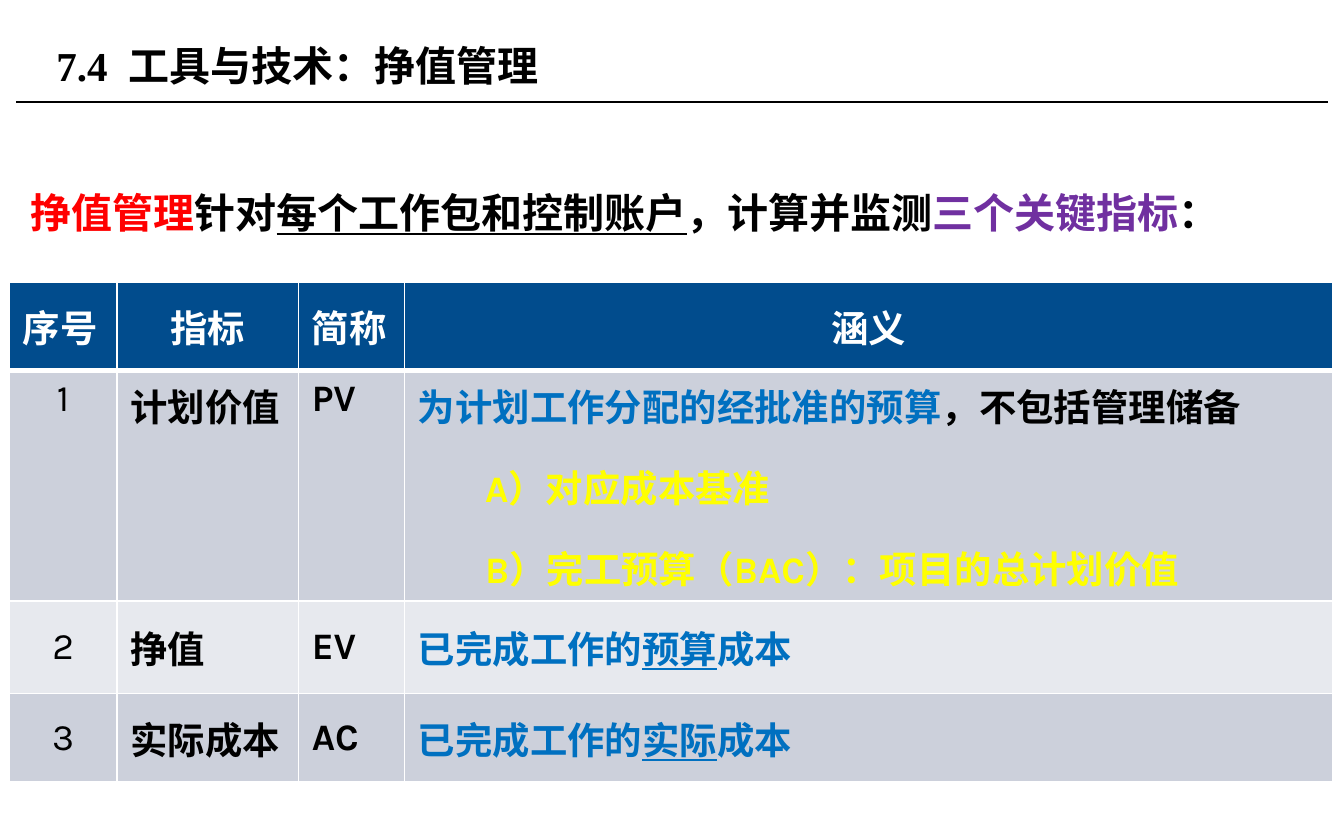
from lxml import etree
from pptx import Presentation
from pptx.dml.color import RGBColor
from pptx.enum.shapes import MSO_CONNECTOR
from pptx.enum.text import MSO_ANCHOR, PP_ALIGN
from pptx.oxml.ns import qn
from pptx.util import Inches, Pt

STRAIGHT = MSO_CONNECTOR.STRAIGHT
TOP, MIDDLE = MSO_ANCHOR.TOP, MSO_ANCHOR.MIDDLE
LEFT, CENTER = PP_ALIGN.LEFT, PP_ALIGN.CENTER
BLACK, WHITE, RED, PURPLE = "000000", "FFFFFF", "FF0000", "7030A0"
BLUE, YELLOW, NAVY = "0070C0", "FFFF00", "014C8D"
BANDS = ("CCD0DB", "E7E9EE")
SERIF, SANS = "Times New Roman", "Karla"

# Content: a run is (text, colour, underlined)
TITLE = "7.4  工具与技术：挣值管理"
INTRO = [
    ("挣值管理", RED, False), ("针对", BLACK, False),
    ("每个工作包和控制账户", BLACK, True), ("，计算并监测", BLACK, False),
    ("三个关键指标", PURPLE, False), ("：", BLACK, False),
]
HEADERS = [("序号", LEFT), ("指标", CENTER), ("简称", LEFT), ("涵义", CENTER)]


def cost_meaning(basis):
    return [("已完成工作的", BLUE, False), (basis, BLUE, True), ("成本", BLUE, False)]


# Indicator, short name, meaning, sub-points, anchor
INDICATORS = [
    ("计划价值", "PV",
     [("为计划工作分配的经批准的预算", BLUE, False), ("，不包括管理储备", BLACK, False)],
     ["A）对应成本基准", "B）完工预算（BAC）：项目的总计划价值"], TOP),
    ("挣值", "EV", cost_meaning("预算"), [], MIDDLE),
    ("实际成本", "AC", cost_meaning("实际"), [], MIDDLE),
]
COLUMN_WIDTHS = [0.8, 1.35, 0.79, 6.91]
ROW_HEIGHTS = [0.66, 1.71, 0.69, 0.66]


def rgb(value):
    return RGBColor.from_string(value)


def write(paragraph, runs, size, font, bold=True, align=LEFT, indent=None):
    paragraph.alignment = align
    if indent is not None:
        properties = paragraph._p.get_or_add_pPr()
        properties.set("marL", str(Inches(indent)))
        properties.set("indent", "0")
        paragraph.line_spacing = 1.5
    for text, color, underlined in runs:
        run = paragraph.add_run()
        run.text = text
        run.font.size = Pt(size)
        run.font.name = font
        run.font.bold = bold
        run.font.underline = underlined
        run.font.color.rgb = rgb(color)


def set_borders(cell, widths):
    """Draw white borders; widths maps the sides L, R, T, B to points."""
    properties = cell._tc.get_or_add_tcPr()
    for position, side in enumerate("LRTB"):
        line = etree.Element(qn(f"a:ln{side}"), w=str(Pt(widths.get(side, 1))))
        fill = etree.SubElement(line, qn("a:solidFill"))
        etree.SubElement(fill, qn("a:srgbClr"), val=WHITE)
        properties.insert(position, line)


def fill_cell(cell, fill, anchor, runs, bold=True, align=LEFT, borders=None):
    cell.fill.solid()
    cell.fill.fore_color.rgb = rgb(fill)
    cell.vertical_anchor = anchor
    set_borders(cell, borders or {})
    write(cell.text_frame.paragraphs[0], runs, 20, SANS, bold, align)


prs = Presentation()
prs.slide_width, prs.slide_height = Inches(10), Inches(6.25)
slide = prs.slides.add_slide(prs.slide_layouts[5])

# Title and the rule below it
title = slide.shapes.title
title.left, title.top = Inches(0.32), Inches(0.13)
title.width, title.height = Inches(6.38), Inches(0.71)
title.text_frame.vertical_anchor = MIDDLE
write(title.text_frame.paragraphs[0], [(TITLE, BLACK, False)], 22, SERIF)

rule = slide.shapes.add_connector(
    STRAIGHT, Inches(0.12), Inches(0.76), Inches(9.88), Inches(0.76))
rule.line.color.rgb = rgb(BLACK)
rule.line.width = Pt(0.75)
etree.SubElement(rule._element.spPr, qn("a:effectLst"))

# Introduction
intro = slide.shapes.add_textbox(Inches(0.03), Inches(1.16), Inches(9.62), Inches(3.9))
intro.text_frame.word_wrap = True
intro_line = intro.text_frame.paragraphs[0]
write(intro_line, INTRO, 22, SERIF, indent=0.1)
intro_line.space_after = Pt(18)

# Indicator table
table = slide.shapes.add_table(
    len(ROW_HEIGHTS), len(COLUMN_WIDTHS), Inches(0.07), Inches(2.1),
    Inches(sum(COLUMN_WIDTHS)), Inches(sum(ROW_HEIGHTS))).table
for column, width in zip(table.columns, COLUMN_WIDTHS):
    column.width = Inches(width)
for row, height in zip(table.rows, ROW_HEIGHTS):
    row.height = Inches(height)

for cell, (header, align) in zip(table.rows[0].cells, HEADERS):
    fill_cell(cell, NAVY, MIDDLE, [(header, WHITE, False)], align=align, borders={"B": 3})

for number, (indicator, short, meaning, points, anchor) in enumerate(INDICATORS, 1):
    band = BANDS[(number - 1) % 2]
    borders = {"T": 3} if number == 1 else {}
    columns = [
        ([(str(number), BLACK, False)], False, CENTER),
        ([(indicator, BLACK, False)], True, LEFT),
        ([(short, BLACK, False)], True, LEFT),
        (meaning, True, LEFT),
    ]
    for cell, (runs, bold, align) in zip(table.rows[number].cells, columns):
        fill_cell(cell, band, anchor, runs, bold, align, borders)
    meaning_frame = table.cell(number, len(columns) - 1).text_frame
    for point in points:
        write(meaning_frame.add_paragraph(), [(point, YELLOW, False)],
              20, SANS, indent=0.5)

prs.save("out.pptx")
